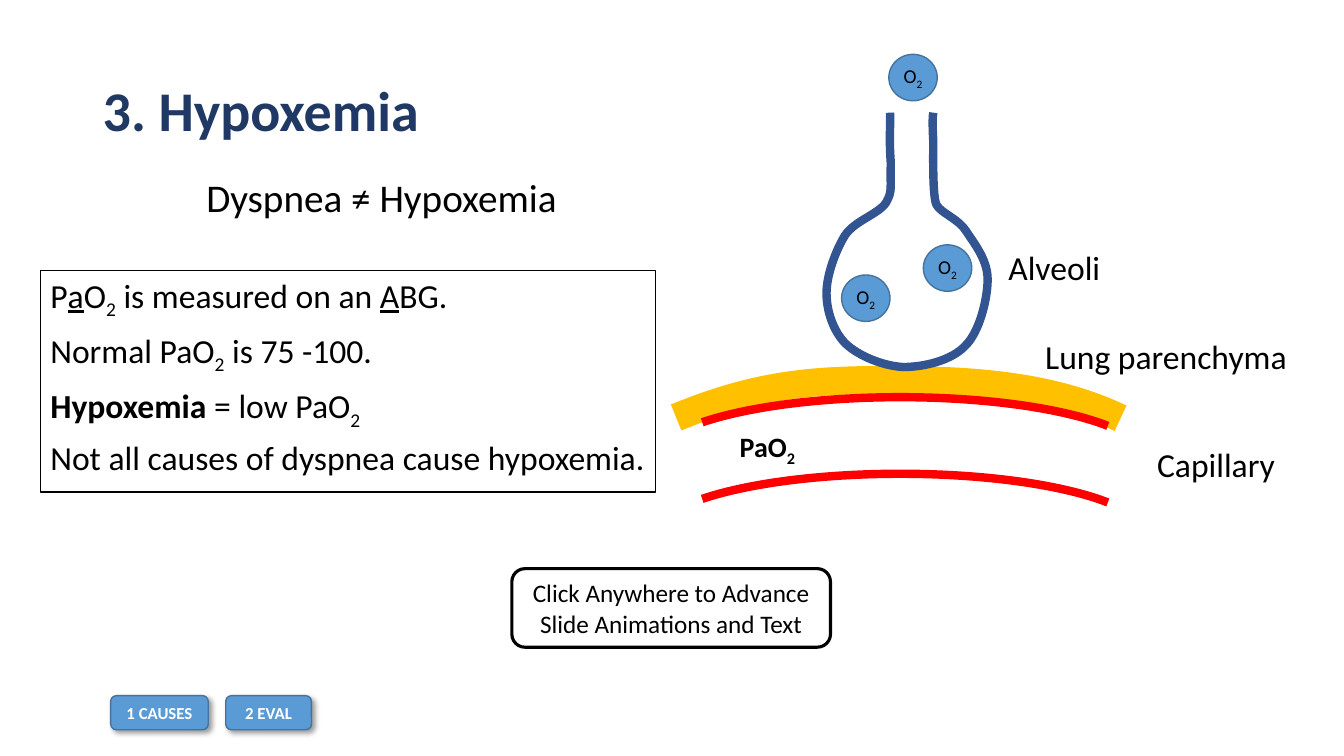
from dataclasses import dataclass

from lxml import etree
from pptx import Presentation
from pptx.dml.color import RGBColor
from pptx.enum.shapes import MSO_SHAPE
from pptx.enum.text import MSO_ANCHOR, PP_ALIGN
from pptx.oxml import parse_xml
from pptx.oxml.ns import nsdecls, qn
from pptx.util import Cm, Pt

ARC, OVAL = MSO_SHAPE.ARC, MSO_SHAPE.OVAL
RECTANGLE, ROUNDED = MSO_SHAPE.RECTANGLE, MSO_SHAPE.ROUNDED_RECTANGLE
LEFT, CENTER = PP_ALIGN.LEFT, PP_ALIGN.CENTER
TOP, MIDDLE = MSO_ANCHOR.TOP, MSO_ANCHOR.MIDDLE


@dataclass(frozen=True)
class Theme:
    font: str = "Calibri"
    title: str = "203864"
    text: str = "000000"
    paper: str = "FFFFFF"
    blue: str = "5B9BD5"
    blue_edge: str = "43739E"
    alveolus: str = "325491"
    parenchyma: str = "FFC000"
    vessel: str = "FF0000"
    title_size: int = 40
    lead_size: int = 28
    body_size: int = 24
    pressure_size: int = 20
    hint_size: int = 18
    oxygen_size: int = 14
    button_size: int = 12


THEME = Theme()

# Each paragraph is a list of (text, style) runs
FACTS = [
    [("P", ""), ("a", "underline"), ("O", ""), ("2", "sub"),
     (" is measured on an ", ""), ("A", "underline"), ("BG.", "")],
    [("Normal PaO", ""), ("2", "sub"), (" is 75 -100.", "")],
    [("Hypoxemia", "bold"), (" = low PaO", ""), ("2", "sub")],
    [("Not all causes of dyspnea cause hypoxemia.", "")],
]
OXYGEN = [[("O", ""), ("2", "sub")]]
PRESSURE = [[("PaO", ""), ("2", "sub")]]

# Bézier curves in cm: a start point, then three points per segment
PARENCHYMA = [
    (17.04, 10.52),
    (19.05, 9.7), (20.42, 9.55), (22.71, 9.58),
    (25.1, 9.58), (26.82, 9.86), (28.24, 10.54),
]
ALVEOLUS = [
    (22.43, 2.84),
    (22.45, 3.1), (22.4, 3.43), (22.45, 4.11),
    (22.43, 4.78), (22.5, 4.8), (22.33, 5.11),
    (22.12, 5.41), (21.54, 5.56), (21.29, 5.94),
    (21.06, 6.32), (20.83, 6.93), (20.83, 7.39),
    (20.83, 7.85), (21.01, 8.36), (21.31, 8.66),
    (21.64, 8.97), (22.25, 9.22), (22.76, 9.25),
    (23.27, 9.25), (23.98, 9.09), (24.33, 8.71),
    (24.69, 8.36), (24.89, 7.52), (24.89, 7.04),
    (24.89, 6.55), (24.56, 6.15), (24.36, 5.84),
    (24.16, 5.51), (23.72, 5.38), (23.6, 5.16),
    (23.5, 4.95), (23.52, 3.94), (23.52, 3.56),
    (23.5, 3.18), (23.5, 2.95), (23.52, 2.84),
]


def write_text(shape, paragraphs, *, size, color=THEME.text, bold=False,
               align=LEFT, anchor=TOP, line_spacing=None, space_before=0,
               wrap=True, margin=None):
    """Fill a shape with a string or with paragraphs of styled runs."""
    if isinstance(paragraphs, str):
        paragraphs = [[(paragraphs, "")]]
    frame = shape.text_frame
    frame.word_wrap = wrap
    frame.vertical_anchor = anchor
    if margin is not None:
        frame.margin_left = frame.margin_right = margin
        frame.margin_top = frame.margin_bottom = margin
    for index, runs in enumerate(paragraphs):
        paragraph = frame.add_paragraph() if index else frame.paragraphs[0]
        paragraph.alignment = align
        paragraph.space_before = Pt(space_before if index else 0)
        if line_spacing:
            paragraph.line_spacing = line_spacing
        for text, style in runs:
            run = paragraph.add_run()
            run.text = text
            font = run.font
            font.name, font.size = THEME.font, Pt(size)
            font.color.rgb = RGBColor.from_string(color)
            font.bold = bold or style == "bold"
            font.underline = style == "underline"
            if style == "sub":
                run._r.get_or_add_rPr().set("baseline", "-25000")


def add_label(slide, box, text, **text_format):
    shape = slide.shapes.add_textbox(*map(Cm, box))
    write_text(shape, text, **text_format)


def style_shape(shape, line, width, fill=None):
    shape.shadow.inherit = False
    if fill:
        shape.fill.solid()
        shape.fill.fore_color.rgb = RGBColor.from_string(fill)
    else:
        shape.fill.background()
    shape.line.color.rgb = RGBColor.from_string(line)
    shape.line.width = Pt(width)


def add_panel(slide, kind, box, text, *, fill, line, width=1, **text_format):
    shape = slide.shapes.add_shape(kind, *map(Cm, box))
    style_shape(shape, line, width, fill)
    write_text(shape, text, **text_format)
    return shape


def add_button(slide, box, text):
    shape = add_panel(slide, ROUNDED, box, text, fill=THEME.blue, line=THEME.blue_edge,
                      size=THEME.button_size, color=THEME.paper, bold=True,
                      align=CENTER, anchor=MIDDLE)
    effects = shape._element.spPr.find(qn("a:effectLst"))
    effects.append(parse_xml(
        f'<a:outerShdw {nsdecls("a")} blurRad="{Pt(4)}" dist="{Pt(3)}" dir="2700000">'
        f'<a:srgbClr val="{THEME.text}"><a:alpha val="40000"/></a:srgbClr></a:outerShdw>'))


def add_vessel_wall(slide, top):
    shape = slide.shapes.add_shape(ARC, Cm(16.46), Cm(top), Cm(12.45), Cm(3.15))
    shape.adjustments[0], shape.adjustments[1] = 114.42, 210.45
    style_shape(shape, THEME.vessel, 6)


def add_curve(slide, points, color, width):
    """Draw an open curve, joining each three points into one Bézier segment."""
    start, *rest = [(Cm(x), Cm(y)) for x, y in points]
    builder = slide.shapes.build_freeform(*start)
    builder.add_line_segments(rest, close=False)
    shape = builder.convert_to_shape()
    steps = list(shape._element.iter(qn("a:lnTo")))
    outline = steps[0].getparent()
    for first in range(0, len(steps), 3):
        segment = etree.SubElement(outline, qn("a:cubicBezTo"))
        for step in steps[first:first + 3]:
            segment.append(step[0])
            outline.remove(step)
    style_shape(shape, color, width)


def main():
    presentation = Presentation()
    presentation.slide_width, presentation.slide_height = Cm(33.87), Cm(19.05)
    slide = presentation.slides.add_slide(presentation.slide_layouts[6])

    # Title
    add_label(slide, (2.34, 1.02, 29.95, 3.68), "3. Hypoxemia", size=THEME.title_size,
              color=THEME.title, bold=True, anchor=MIDDLE, line_spacing=0.9)

    # Alveolus resting on the capillary
    add_vessel_wall(slide, 11.94)
    add_curve(slide, PARENCHYMA, THEME.parenchyma, 20)
    add_vessel_wall(slide, 10.01)
    add_curve(slide, ALVEOLUS, THEME.alveolus, 6)

    # Diagram labels
    for box, text in [
        ((25.15, 6.1, 2.84, 1.27), "Alveoli"),
        ((28.79, 11.05, 3.71, 1.27), "Capillary"),
        ((26.06, 8.33, 6.65, 1.27), "Lung parenchyma"),
    ]:
        add_label(slide, box, text, size=THEME.body_size, align=CENTER, wrap=False)
    add_label(slide, (18.36, 10.69, 1.96, 1.12), PRESSURE, size=THEME.pressure_size,
              bold=True, align=CENTER, wrap=False)

    # Oxygen molecules
    for left, top in [(21.21, 6.93), (22.4, 1.37), (23.27, 6.17)]:
        add_panel(slide, OVAL, (left, top, 1.22, 1.17), OXYGEN, fill=THEME.blue,
                  line=THEME.blue_edge, size=THEME.oxygen_size, align=CENTER,
                  anchor=MIDDLE, margin=0)

    # Facts
    add_panel(slide, RECTANGLE, (1.02, 6.81, 15.5, 5.59), FACTS, fill=THEME.paper,
              line=THEME.text, size=THEME.body_size, line_spacing=0.9, space_before=10)
    add_label(slide, (4.95, 4.37, 10.11, 1.47), "Dyspnea ≠ Hypoxemia",
              size=THEME.lead_size, line_spacing=0.9)

    # Navigation
    add_button(slide, (2.79, 17.53, 2.46, 0.86), "1 CAUSES")
    add_button(slide, (5.69, 17.53, 2.16, 0.86), "2 EVAL")
    add_panel(slide, ROUNDED, (12.9, 14.33, 8.03, 1.98),
              "Click Anywhere to Advance Slide Animations and Text", fill=THEME.paper,
              line=THEME.text, width=2.25, size=THEME.hint_size, align=CENTER,
              anchor=MIDDLE)

    presentation.save("out.pptx")


if __name__ == "__main__":
    main()
